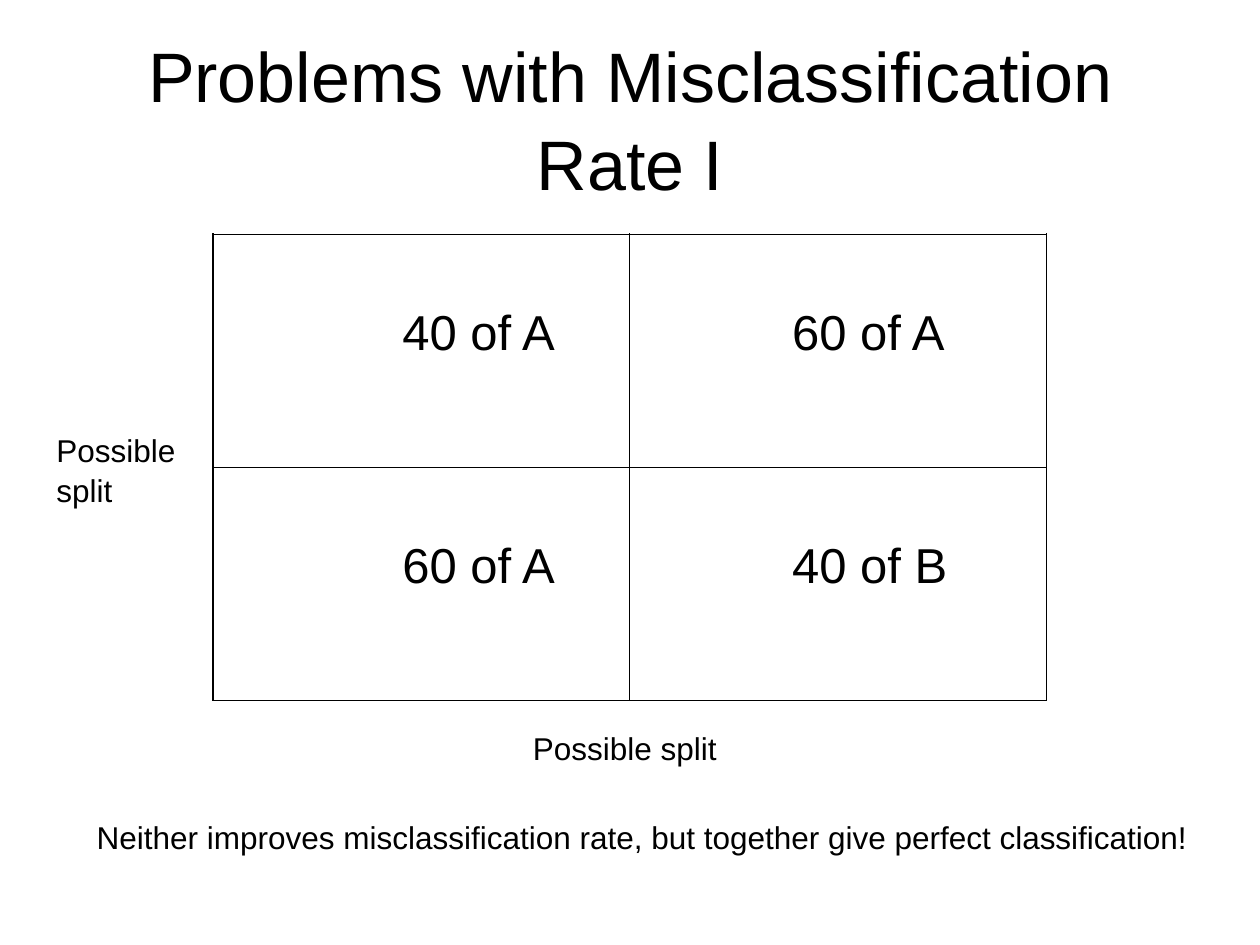
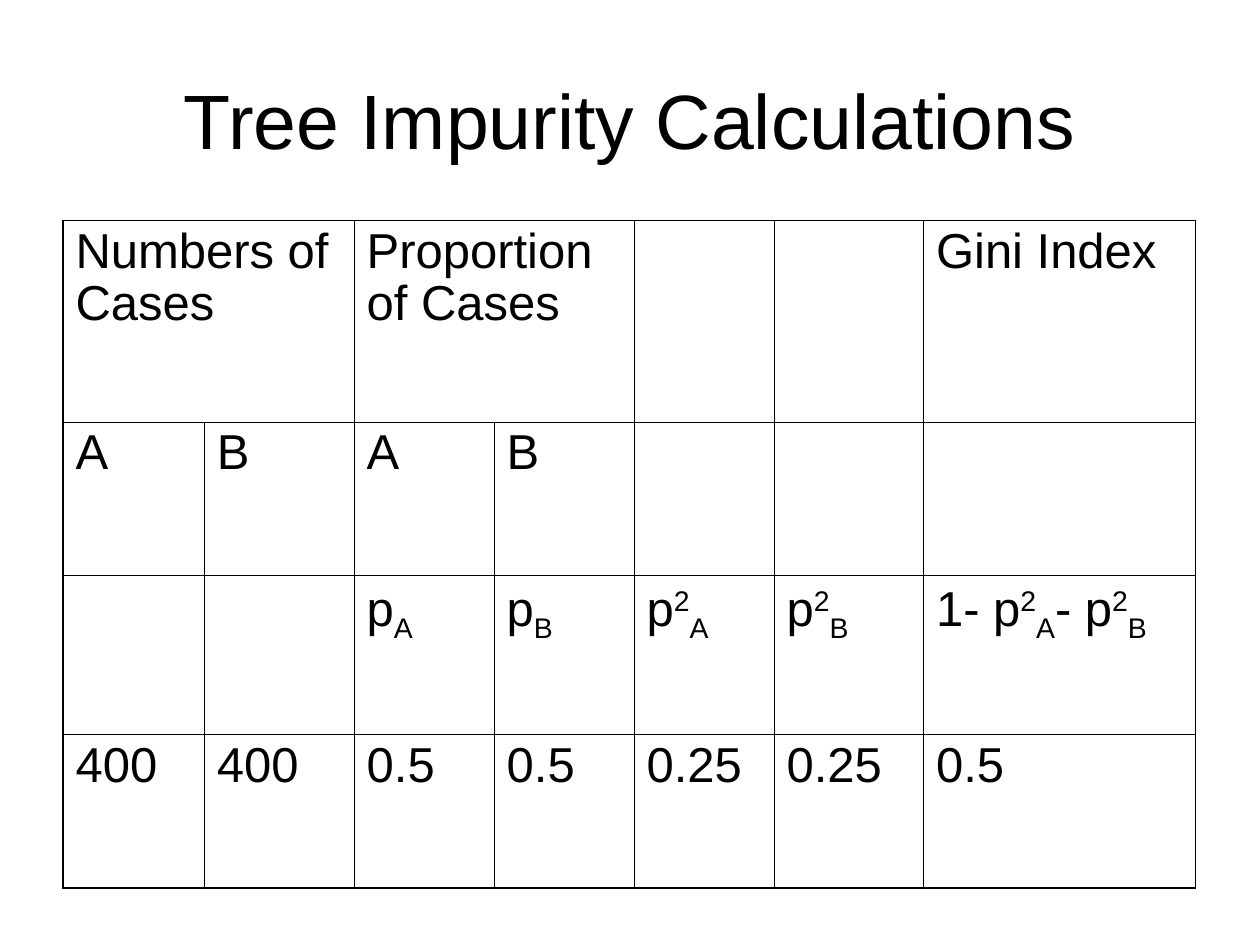
from itertools import accumulate

from lxml.etree import SubElement
from pptx import Presentation
from pptx.dml.color import RGBColor
from pptx.enum.text import MSO_ANCHOR, MSO_AUTO_SIZE, PP_ALIGN
from pptx.oxml.ns import qn
from pptx.util import Pt

BLACK = RGBColor(0x00, 0x00, 0x00)
WHITE = RGBColor(0xFF, 0xFF, 0xFF)
FONT = "Arial"
TITLE_ONLY = 5
OUTER_LINE, INNER_LINE = Pt(1.08), Pt(0.45)
# A marker shifts the one character that follows it
BASELINES = {"^": "30000", "_": "-25000"}


def split_runs(text):
    """Split text such as p^2_A into (text, baseline) pairs."""
    runs, baseline = [], None
    for character in text:
        if character in BASELINES:
            baseline = BASELINES[character]
        elif baseline or not runs or runs[-1][1]:
            runs.append((character, baseline))
            baseline = None
        else:
            runs[-1] = (runs[-1][0] + character, None)
    return runs


def write_text(frame, text, size=18, align=PP_ALIGN.LEFT, spacing=1.05):
    """Write one paragraph, with raised and lowered characters."""
    frame.word_wrap = True
    paragraph = frame.paragraphs[0]
    paragraph.alignment = align
    paragraph.line_spacing = spacing
    paragraph.space_before = Pt(0)
    paragraph.font.size = Pt(size)
    for content, baseline in split_runs(text):
        run = paragraph.add_run()
        run.text = content
        run.font.name = FONT
        run.font.size = Pt(size)
        run.font.color.rgb = BLACK
        if baseline:
            run._r.get_or_add_rPr().set("baseline", baseline)


def draw_border(cell, side, width):
    line = SubElement(cell._tc.get_or_add_tcPr(), qn(f"a:ln{side}"), w=str(int(width)))
    fill = SubElement(line, qn("a:solidFill"))
    SubElement(fill, qn("a:srgbClr"), val=str(BLACK))


class Deck:
    """Holds the style and the current slide."""

    def __init__(self):
        self.presentation = Presentation()
        self.presentation.slide_width = Pt(720)
        self.presentation.slide_height = Pt(540)
        self.slide = None

    def add_slide(self, title, size):
        layout = self.presentation.slide_layouts[TITLE_ONLY]
        self.slide = self.presentation.slides.add_slide(layout)
        self.slide.background.fill.solid()
        self.slide.background.fill.fore_color.rgb = WHITE
        shape = self.slide.shapes.title
        shape.left, shape.top = Pt(36), Pt(21.6)
        shape.width, shape.height = Pt(648), Pt(90)
        frame = shape.text_frame
        frame.auto_size = MSO_AUTO_SIZE.NONE
        frame.vertical_anchor = MSO_ANCHOR.MIDDLE
        write_text(frame, title, size=size, align=PP_ALIGN.CENTER)

    def add_label(self, text, left, top, width, height):
        box = self.slide.shapes.add_textbox(Pt(left), Pt(top), Pt(width), Pt(height))
        write_text(box.text_frame, text)

    def add_table(self, rows, left, top, widths, heights, indents=None,
                  margin_top=3.6, merges=()):
        row_count, column_count = len(heights), len(widths)
        frame = self.slide.shapes.add_table(
            row_count, column_count, Pt(left), Pt(top), Pt(sum(widths)), Pt(sum(heights)))
        table = frame.table
        table.first_row = table.horz_banding = False
        for column, width in zip(table.columns, widths):
            column.width = Pt(width)
        for row, height in zip(table.rows, heights):
            row.height = Pt(height)
        for start, end in merges:
            table.cell(*start).merge(table.cell(*end))

        for row_index, texts in enumerate(rows):
            for column_index, text in enumerate(texts):
                cell = table.cell(row_index, column_index)
                cell.margin_top = Pt(margin_top)
                if indents:
                    cell.margin_left = Pt(indents[column_index])
                write_text(cell.text_frame, text, size=28, spacing=0.95)
                # Heavy frame, thin inner lines
                outer_sides = {
                    "L": column_index == 0,
                    "R": column_index == column_count - 1,
                    "T": row_index == 0,
                    "B": row_index == row_count - 1,
                }
                for side, is_outer in outer_sides.items():
                    draw_border(cell, side, OUTER_LINE if is_outer else INNER_LINE)
                cell.fill.background()


def build_misclassification(deck):
    deck.add_slide("Problems with Misclassification Rate I", size=40)
    deck.add_table(
        [["40 of A", "60 of A"], ["60 of A", "40 of B"]],
        left=121.7, top=133.9, widths=[238.2] * 2, heights=[133.2] * 2,
        indents=[108.3, 92.8], margin_top=42.8)
    # Split labels and conclusion
    deck.add_label("Possible split", 297.4, 411.8, 136.1, 28.8)
    deck.add_label("Possible split", 25.2, 241.9, 90.7, 50.4)
    deck.add_label(
        "Neither improves misclassification rate, but together give perfect classification!",
        48.2, 463, 646.6, 28.8)


def build_impurity(deck):
    deck.add_slide("Tree Impurity Calculations", size=44)
    deck.add_table(
        [
            ["Numbers of Cases", "", "Proportion of Cases", "", "", "", "Gini Index"],
            ["A", "B", "A", "B", "", "", ""],
            ["", "", "p_A", "p_B", "p^2_A", "p^2_B", "1- p^2_A- p^2_B"],
            ["400", "400", "0.5", "0.5", "0.25", "0.25", "0.5"],
        ],
        left=36, top=126, widths=[80.8, 85.6, 80, 80, 80, 85.4, 155.4],
        heights=[115.2, 87.8, 90.8, 87.8],
        merges=[((0, 0), (0, 1)), ((0, 2), (0, 3))])


def main():
    deck = Deck()
    build_misclassification(deck)
    build_impurity(deck)
    deck.presentation.save("out.pptx")


if __name__ == "__main__":
    main()
